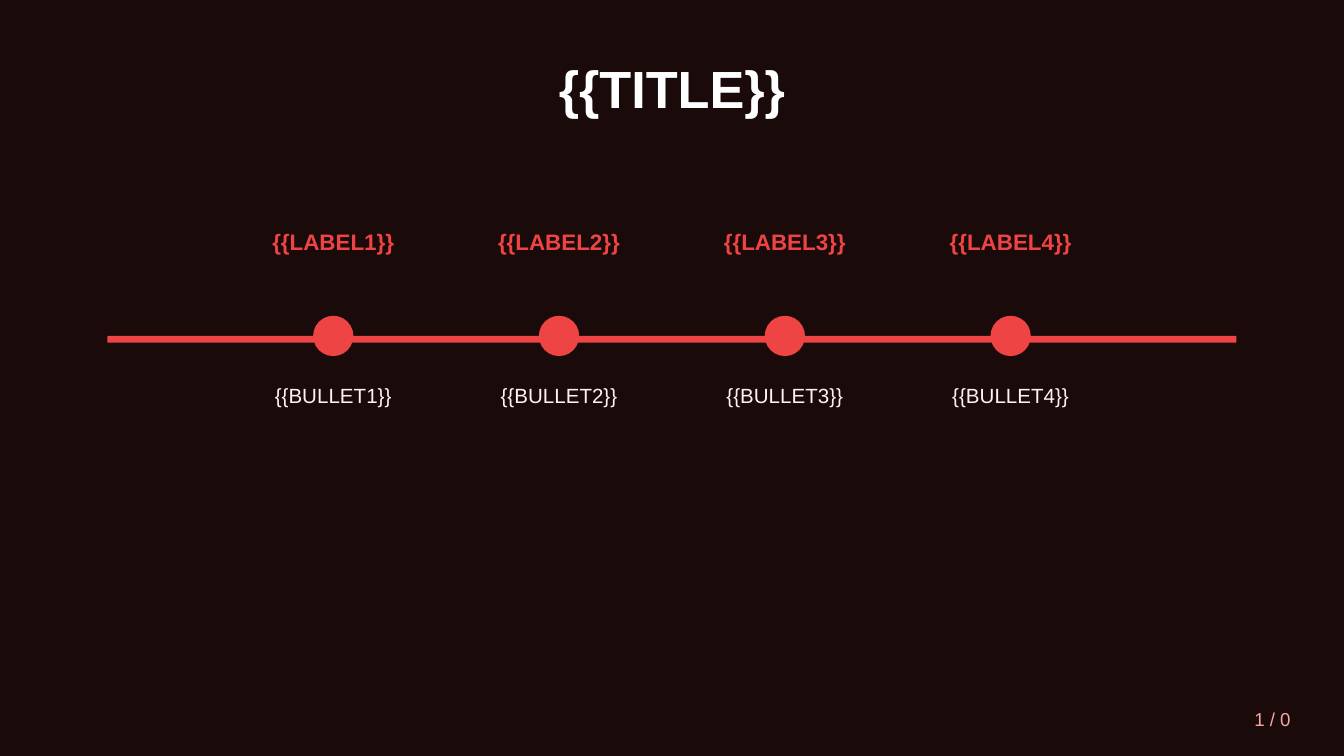
from pptx import Presentation
from pptx.dml.color import RGBColor
from pptx.enum.shapes import MSO_SHAPE as Preset
from pptx.enum.text import MSO_ANCHOR as Anchor, PP_ALIGN as Align
from pptx.util import Inches, Pt

BACKGROUND = RGBColor(0x1A, 0x0A, 0x0A)
WHITE = RGBColor(0xFF, 0xFF, 0xFF)
ACCENT = RGBColor(0xEF, 0x44, 0x44)
BODY = RGBColor(0xFE, 0xF2, 0xF2)
MUTED = RGBColor(0xFC, 0xA5, 0xA5)

SLIDE_WIDTH = 10
SLIDE_HEIGHT = SLIDE_WIDTH * 9 / 16
LINE_LEFT, LINE_TOP, LINE_WIDTH, LINE_HEIGHT = 0.8, 2.5, 8.4, 0.05
MILESTONES = 4
STEP = LINE_WIDTH / (MILESTONES + 1)
DOT = 0.3
TEXT_WIDTH = 2


class TimelineSlide:
    font_name = "Arial"

    def __init__(self, slide):
        self.slide = slide
        fill = slide.background.fill
        fill.solid()
        fill.fore_color.rgb = BACKGROUND

    def shape(self, preset, left, top, width, height, color):
        shape = self.slide.shapes.add_shape(
            preset, Inches(left), Inches(top), Inches(width), Inches(height))
        shape.shadow.inherit = False
        shape.fill.solid()
        shape.fill.fore_color.rgb = color
        shape.line.fill.background()

    def text(self, text, left, top, width, height, size, color,
             bold=False, align=Align.CENTER, anchor=Anchor.MIDDLE):
        box = self.slide.shapes.add_textbox(
            Inches(left), Inches(top), Inches(width), Inches(height))
        frame = box.text_frame
        frame.word_wrap = True
        frame.vertical_anchor = anchor
        paragraph = frame.paragraphs[0]
        paragraph.text = text
        paragraph.alignment = align
        font = paragraph.font
        font.name = self.font_name
        font.size = Pt(size)
        font.bold = bold
        font.color.rgb = color

    def milestone(self, number):
        center = LINE_LEFT + number * STEP
        text_left = center - TEXT_WIDTH / 2
        self.shape(Preset.OVAL, center - DOT / 2, LINE_TOP - DOT / 2, DOT, DOT, ACCENT)
        self.text(f"{{{{LABEL{number}}}}}", text_left, 1.5, TEXT_WIDTH, 0.6,
                  12, ACCENT, bold=True)
        self.text(f"{{{{BULLET{number}}}}}", text_left, 2.8, TEXT_WIDTH, 1.5,
                  11, BODY, anchor=Anchor.TOP)


def main():
    presentation = Presentation()
    presentation.slide_width = Inches(SLIDE_WIDTH)
    presentation.slide_height = Inches(SLIDE_HEIGHT)
    timeline = TimelineSlide(
        presentation.slides.add_slide(presentation.slide_layouts[6]))

    timeline.text("{{TITLE}}", 0.5, 0.3, 9, 0.7, 28, WHITE, bold=True)
    timeline.shape(Preset.RECTANGLE, LINE_LEFT, LINE_TOP, LINE_WIDTH, LINE_HEIGHT, ACCENT)
    for number in range(1, MILESTONES + 1):
        timeline.milestone(number)
    timeline.text("1 / 0", 8.5, 5.2, 1.2, 0.3, 10, MUTED, align=Align.RIGHT)

    presentation.save("out.pptx")


if __name__ == "__main__":
    main()
